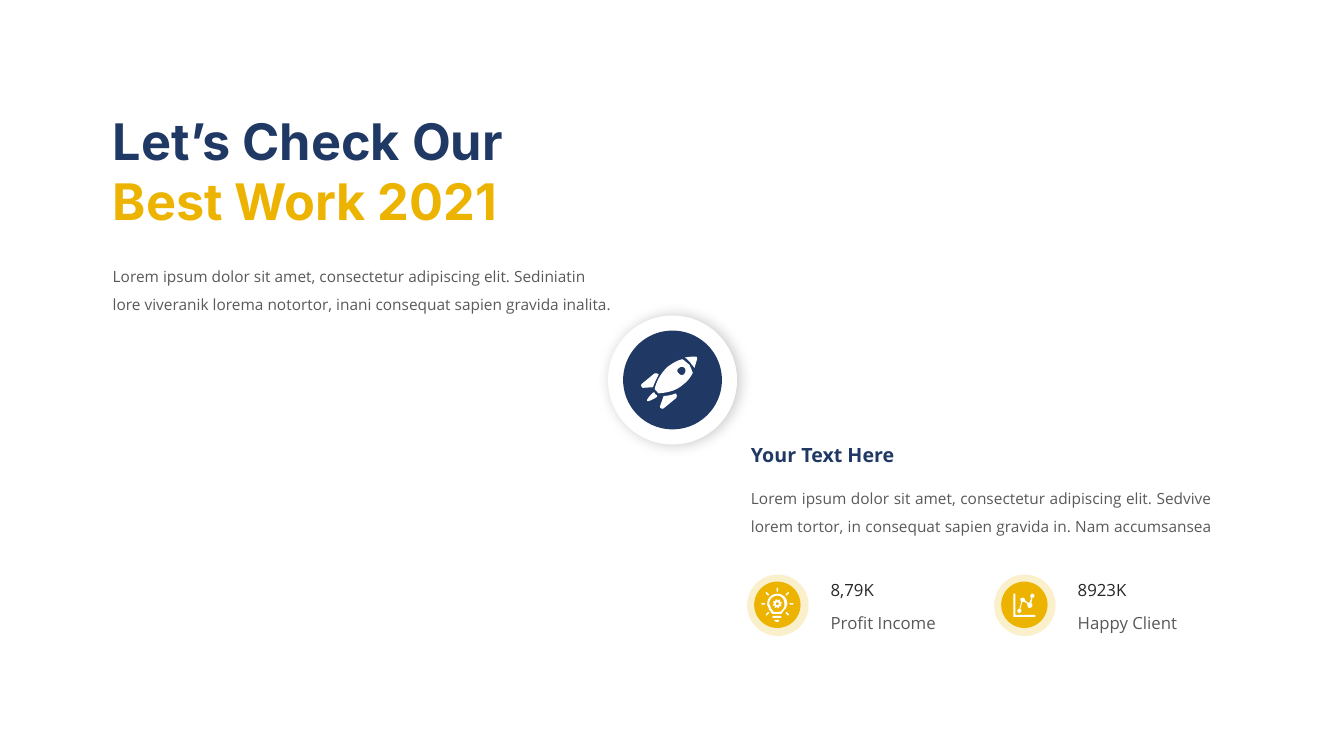
import math
from dataclasses import dataclass

from pptx import Presentation
from pptx import util as u
from pptx.dml.color import RGBColor
from pptx.enum import shapes, text
from pptx.oxml.ns import qn
from lxml import etree

SCALE = 9144
FINE = 100


@dataclass(frozen=True)
class Theme:
    navy: str = "203864"
    gold: str = "ECB400"
    white: str = "FFFFFF"
    black: str = "000000"
    grey: str = "595959"
    dark: str = "262626"
    display: str = "Inter"
    plain: str = "Open Sans"
    title: int = 36
    heading: int = 14
    label: int = 12
    body: int = 11


THEME = Theme()
OVAL = shapes.MSO_SHAPE.OVAL
PILL = shapes.MSO_SHAPE.ROUNDED_RECTANGLE

ROCKET = [
    "M 88 41 C 87 40 81 41 76 42 C 78 43 80 45 82 47 C 83 49 85 50 86 52 C 87 47 89 42 88 41",
    "M 50 58 L 48 57 C 47 57 46 57 45 58 L 34 68 C 32 69 34 73 36 72 L 45 71 C 46 67 48 63 50 58",
    "M 67 77 C 62 79 58 80 55 80 L 52 90 C 51 92 54 94 56 92 L 67 82 C 68 81 68 80 68 79",
    "M 73 43 C 69 44 64 47 59 51 C 51 59 48 68 47 74 L 51 78 C 57 77 67 76 75 68 "
    "C 80 64 82 60 84 56 C 83 54 82 51 80 48 C 77 46 75 44 73 43 "
    "M 75 58 C 74 59 71 59 70 57 C 68 56 68 53 70 52 C 72 50 74 50 76 52 C 77 54 77 56 75 58",
    "M 47 78 C 46 77 46 75 44 77 C 42 79 38 84 39 85 C 40 86 45 83 48 81 C 50 79 48 79 47 78",
]
BULB = [
    "M 40 29 C 40 23 35 19 30 19 C 25 19 20 23 20 29 C 20 30 20 31 21 32 C 21 33 22 34 22 35 "
    "C 23 36 24 38 25 39 L 34 39 C 35 38 36 36 37 35 C 38 34 39 33 39 32 C 39 31 40 30 40 29 "
    "M 37 29 C 37 30 37 31 37 32 C 37 32 36 33 36 34 C 35 35 34 36 33 37 L 26 37 "
    "C 26 36 25 35 24 34 C 24 33 23 32 23 31 C 23 31 22 30 22 29 C 22 24 26 21 30 21 C 34 21 37 24 37 29",
    "M 27 45 L 32 45 C 32 46 31 47 30 47 C 28 47 27 46 27 45",
]
CHART = [
    "M 40 21 C 40 20 39 19 38 19 C 37 19 36 20 36 21 C 36 22 36 23 37 23 L 35 28 L 34 28 L 31 26 "
    "C 31 25 30 23 29 23 C 28 23 27 23 26 24 C 26 25 26 26 27 27 L 25 34 C 24 34 23 35 23 36 "
    "C 23 37 24 38 25 38 C 26 38 27 37 27 36 C 27 35 27 35 26 34 L 28 27 L 30 27 L 33 29 L 33 30 "
    "C 33 32 34 33 35 33 C 37 33 38 32 38 30 C 38 30 37 29 37 28 L 38 23 C 39 23 40 22 40 21",
    "M 21 19 L 19 19 L 19 42 L 41 42 L 41 40 L 21 40",
]


def px(*lengths):
    return [u.Emu(round(length * SCALE)) for length in lengths]


def assign(target, values):
    for name, value in values.items():
        setattr(target, name, value)


def paint(shape, color, alpha=None, shadow=None):
    shape.shadow.inherit = False
    shape.fill.solid()
    shape.fill.fore_color.rgb = RGBColor.from_string(color)
    shape.line.fill.background()
    if alpha:
        tint = shape._element.spPr.find(qn("a:solidFill"))[0]
        etree.SubElement(tint, qn("a:alpha"), val=str(alpha * 1000))
    if shadow:
        tone, strength, blur, distance, angle = shadow
        effects = shape._element.spPr.find(qn("a:effectLst"))
        outer = etree.SubElement(effects, qn("a:outerShdw"), blurRad=str(u.Pt(blur)),
                                 dist=str(u.Pt(distance)), dir=str(angle * 60000),
                                 algn="ctr", rotWithShape="0")
        tint = etree.SubElement(outer, qn("a:srgbClr"), val=tone)
        etree.SubElement(tint, qn("a:alpha"), val=str(strength * 1000))


def add_preset(page, kind, box, color, rotation=0, **look):
    shape = page.shapes.add_shape(kind, *px(*box))
    if kind == PILL:
        shape.adjustments[0] = 0.5
    shape.rotation = rotation
    paint(shape, color, **look)


def bezier(points, steps=8):
    for step in range(1, steps + 1):
        t = step / steps
        weights = ((1 - t) ** 3, 3 * t * (1 - t) ** 2, 3 * t * t * (1 - t), t ** 3)
        yield tuple(sum(w * p[axis] for w, p in zip(weights, points)) for axis in (0, 1))


def flatten(outline):
    contours = []
    tokens = iter(outline.split())
    for command in tokens:
        count = 3 if command == "C" else 1
        points = [(float(next(tokens)), float(next(tokens))) for _ in range(count)]
        if command == "M":
            contours.append(points)
        elif command == "L":
            contours[-1] += points
        else:
            contours[-1] += bezier([contours[-1][-1], *points])
    return contours


def add_outline(page, left, top, contours, rotation=0):
    fine = [[(x * FINE, y * FINE) for x, y in contour] for contour in contours]
    builder = page.shapes.build_freeform(*fine[0][0], scale=SCALE / FINE)
    for index, contour in enumerate(fine):
        if index:
            builder.move_to(*contour[0])
        builder.add_line_segments(contour[1:], close=True)
    shape = builder.convert_to_shape(*px(left, top))
    shape.rotation = rotation
    paint(shape, THEME.white)


def add_icon(page, left, top, outlines, rotation=0):
    for outline in outlines:
        add_outline(page, left, top, flatten(outline), rotation)


def polar(radius, degrees):
    angle = math.radians(degrees)
    return 30 + radius * math.cos(angle), 29 + radius * math.sin(angle)


def bulb_icon(page, left, top):
    gear = [polar(4.5 if step // 2 % 2 else 3.5, step * 360 / 32) for step in range(32)]
    hole = [polar(1.5, step * 30) for step in range(12)]
    add_outline(page, left, top, [gear, hole])
    add_icon(page, left, top, BULB)
    add_preset(page, PILL, (left + 25, top + 41, 9, 2), THEME.white)
    for degrees in range(-225, 46, 45):
        x, y = polar(14, degrees)
        add_preset(page, PILL, (left + x - 2, top + y - 0.75, 4, 1.5), THEME.white, degrees % 360)


def chart_icon(page, left, top):
    add_icon(page, left, top, CHART)


def write(shape, runs, size, font, bold=False, spacing=None, align=text.PP_ALIGN.LEFT, wrap=True):
    assign(shape.text_frame, {"word_wrap": wrap, "auto_size": text.MSO_AUTO_SIZE.SHAPE_TO_FIT_TEXT,
                              "vertical_anchor": text.MSO_ANCHOR.TOP})
    para = shape.text_frame.paragraphs[0]
    assign(para, {"alignment": align, "line_spacing": spacing})
    for words, color in runs:
        span = para.add_run()
        span.text = words
        assign(span.font, {"size": u.Pt(size), "name": font, "bold": bold})
        span.font.color.rgb = RGBColor.from_string(color)


def add_text(page, box, words, color, size, **look):
    shape = page.shapes.add_textbox(*px(*box))
    write(shape, [(words, color)], size, THEME.plain, **look)


def intro(page, left, top, width):
    title = page.shapes.title
    assign(title, dict(zip(("left", "top", "width", "height"), px(left, top, width, 131))))
    write(title, [("Let’s Check Our ", THEME.navy), ("Best Work 2021", THEME.gold)],
          THEME.title, THEME.display, bold=True)
    add_text(page, (left, top + 147, width, 63),
             "Lorem ipsum dolor sit amet, consectetur adipiscing elit. Sediniatin "
             "lore viveranik lorema notortor, inani consequat sapien gravida inalita.",
             THEME.grey, THEME.body, spacing=1.5)


def emblem(page, left, top, size):
    add_preset(page, PILL, (left, top, size, size), THEME.white, shadow=(THEME.black, 22, 10, 2, 0))
    add_preset(page, OVAL, (left + 15, top + 15, size - 30, size - 30), THEME.navy, 75)
    add_icon(page, left, top, ROCKET, 2.8)


def stat(page, left, top, width, value, label, icon, shadow=None):
    add_preset(page, PILL, (left, top, 61, 61), THEME.gold, alpha=20, shadow=shadow)
    add_preset(page, OVAL, (left + 7, top + 7, 46, 46), THEME.gold, 75)
    icon(page, left, top)
    add_text(page, (left + 73, top, 95, 30), value, THEME.dark, THEME.label)
    add_text(page, (left + 73, top + 23, width, 37), label, THEME.grey, THEME.label, spacing=1.5)


def details(page, left, top, width):
    add_text(page, (left, top, 167, 34), "Your Text Here", THEME.navy, THEME.heading,
             bold=True, wrap=False)
    add_text(page, (left, top + 37, width, 63),
             "Lorem ipsum dolor sit amet, consectetur adipiscing elit. Sedvive "
             "lorem tortor, in consequat sapien gravida in. Nam accumsansea ",
             THEME.grey, THEME.body, spacing=1.5, align=text.PP_ALIGN.JUSTIFY)
    stat(page, left + 6, top + 136, 181, "8,79K", "Profit Income", bulb_icon,
         (THEME.white, 75, 20, 15, 225))
    stat(page, left + 251, top + 136, 153, "8923K", "Happy Client", chart_icon)


def main():
    deck = Presentation()
    deck.slide_width, deck.slide_height = px(1333, 750)
    page = deck.slides.add_slide(deck.slide_layouts[5])
    intro(page, 102, 104, 520)
    details(page, 735, 434, 477)
    emblem(page, 603, 313, 128)
    deck.save("out.pptx")


if __name__ == "__main__":
    main()
